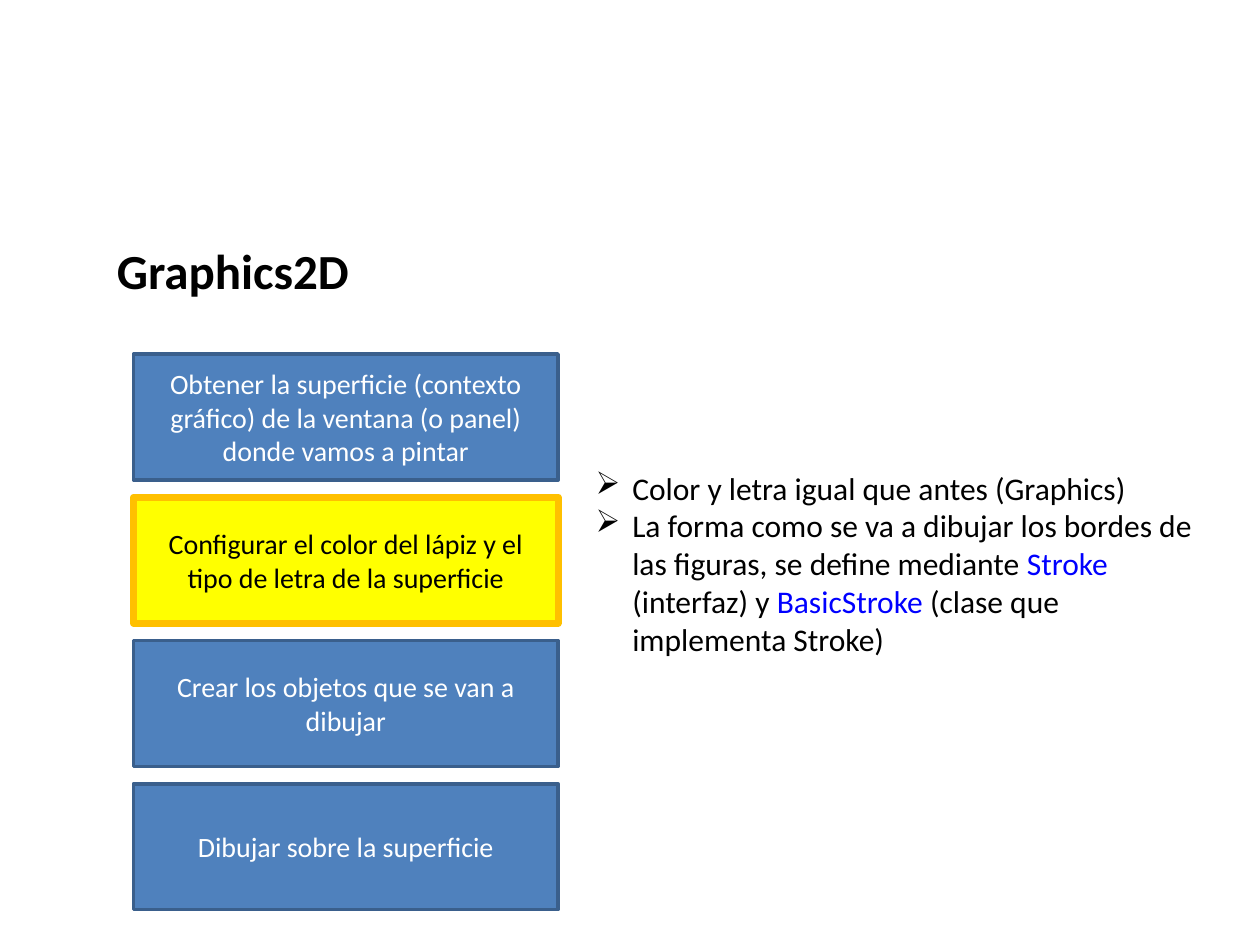
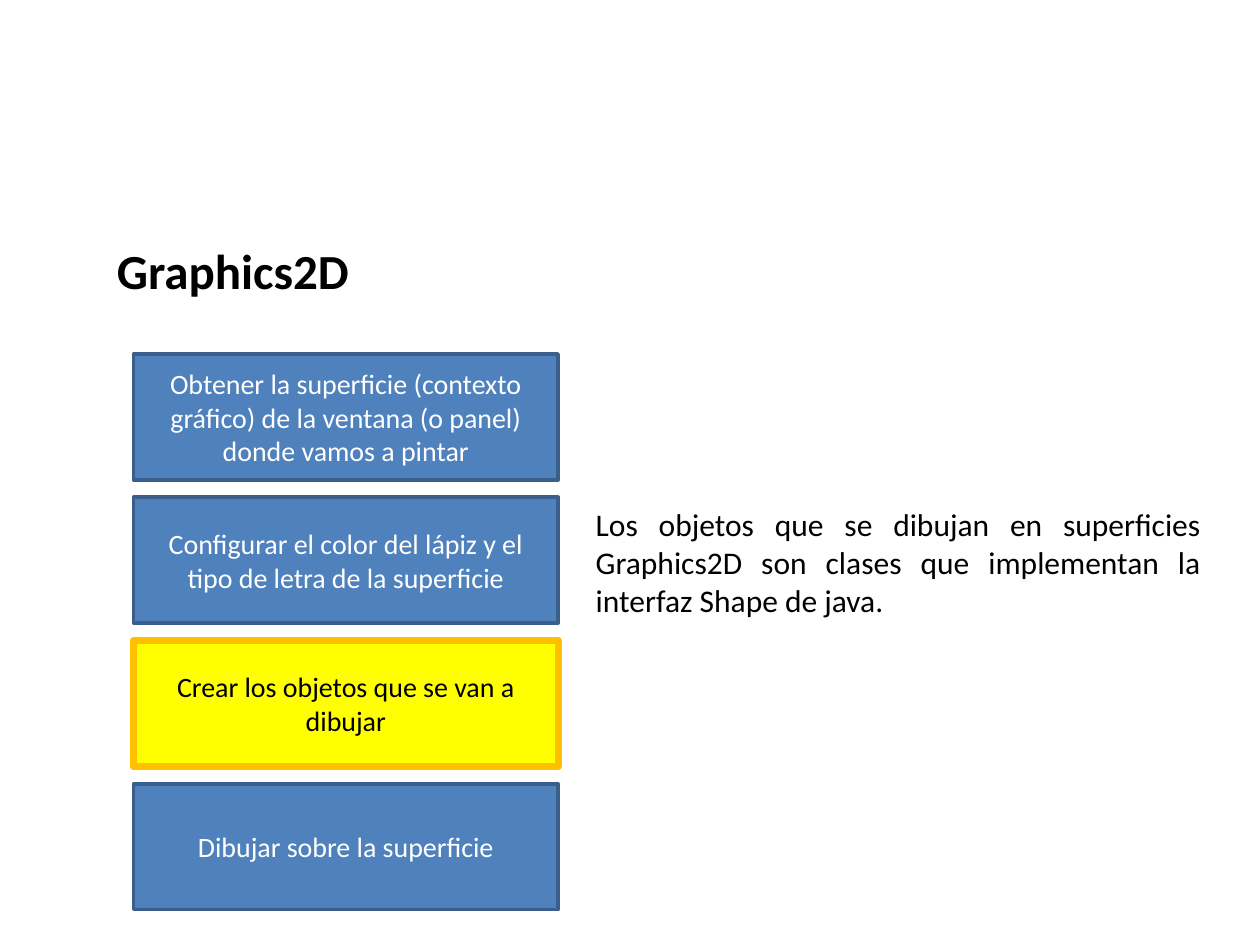
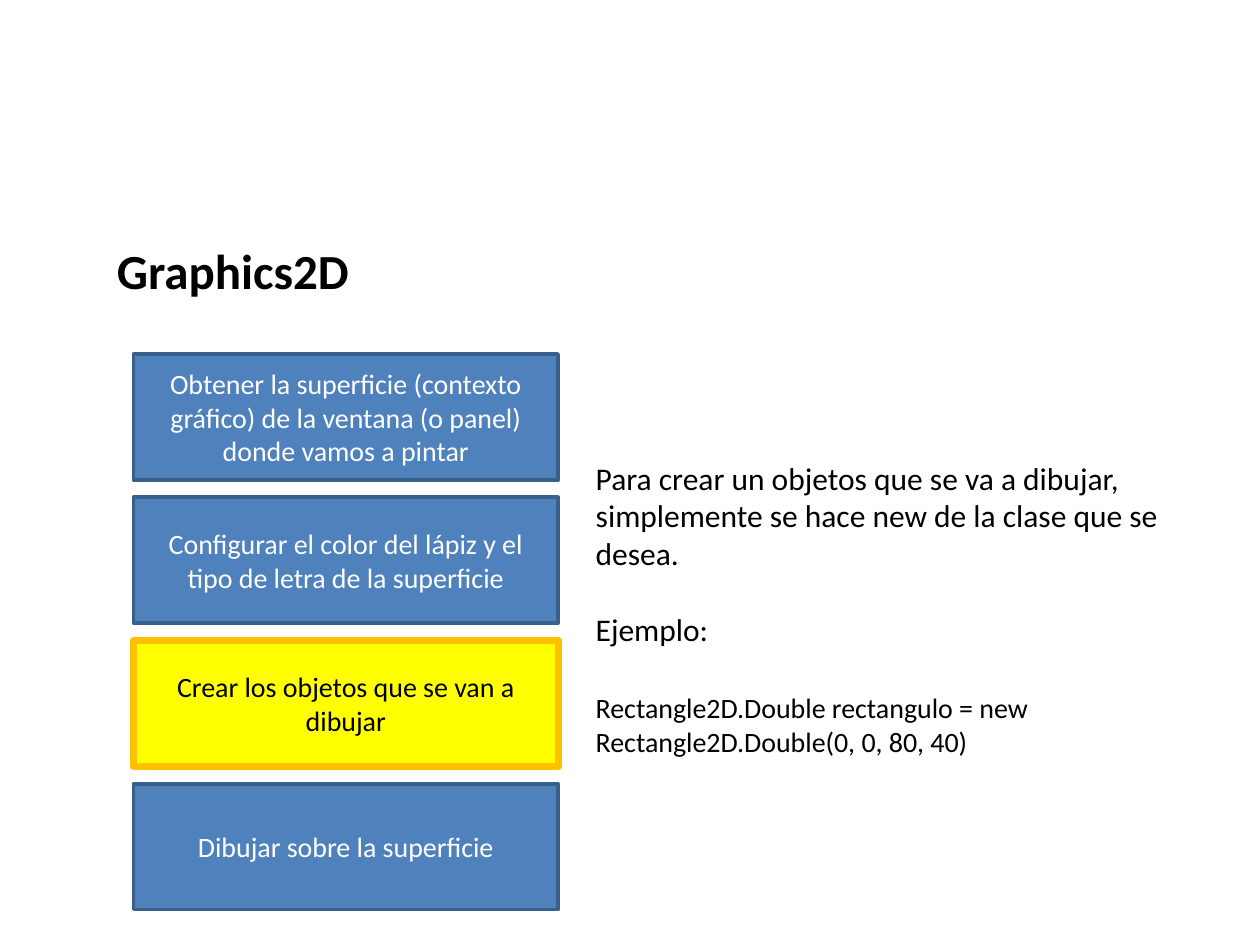
from lxml import etree
from pptx import Presentation
from pptx.dml.color import RGBColor
from pptx.enum.shapes import MSO_SHAPE
from pptx.enum.text import MSO_ANCHOR, MSO_AUTO_SIZE, PP_ALIGN
from pptx.oxml.ns import qn
from pptx.util import Inches, Pt

RECTANGLE = MSO_SHAPE.RECTANGLE
MIDDLE = MSO_ANCHOR.MIDDLE
GROW = MSO_AUTO_SIZE.SHAPE_TO_FIT_TEXT
LEFT, CENTER, JUSTIFY = PP_ALIGN.LEFT, PP_ALIGN.CENTER, PP_ALIGN.JUSTIFY

BLACK = RGBColor(0x00, 0x00, 0x00)
WHITE = RGBColor(0xFF, 0xFF, 0xFF)
BLUE = RGBColor(0x4F, 0x81, 0xBD)
DARK_BLUE = RGBColor(0x3A, 0x5F, 0x8C)
YELLOW = RGBColor(0xFF, 0xFF, 0x00)
ORANGE = RGBColor(0xFF, 0xC0, 0x00)
KEYWORD = RGBColor(0x00, 0x00, 0xFF)

FONT = "Calibri"
TITLE = "Graphics2D"
STEPS = [
    "Obtener la superficie (contexto gráfico) de la ventana (o panel) donde vamos a pintar",
    "Configurar el color del lápiz y el tipo de letra de la superficie",
    "Crear los objetos que se van a dibujar",
    "Dibujar sobre la superficie",
]
STEP_LEFT, STEP_TOP, STEP_WIDTH, STEP_HEIGHT = 1.06, 2.81, 3.37, 1
STEP_PITCH = 1.137
NORMAL_STEP = {"fill": BLUE, "line": DARK_BLUE, "width": 2, "color": WHITE}
ACTIVE_STEP = {"fill": YELLOW, "line": ORANGE, "width": 4, "color": BLACK}
NOTE_LEFT, NOTE_WIDTH = 4.63, 5
BULLET_INDENT = 0.29


class Deck:
    def __init__(self):
        self.prs = Presentation()
        self.prs.slide_width = Inches(10)
        self.prs.slide_height = Inches(7.5)
        self.s = None

    def add_slide(self, active_step):
        self.s = self.prs.slides.add_slide(self.prs.slide_layouts[6])
        self.text(0.83, 1.86, 6.3, 0.57, [{"runs": [(TITLE, BLACK)], "size": 28, "bold": True}])
        for i, step in enumerate(STEPS):
            self.step(i, step, ACTIVE_STEP if i == active_step else NORMAL_STEP)

    def paragraph(self, p, runs, size=18, bold=False, align=LEFT, before=0, bullet=None):
        p.alignment = align
        p.space_before = Pt(before)
        if bullet:
            self.bullet(p, bullet)
        for text, color in runs:
            r = p.add_run()
            r.text = text
            for name, value in {"name": FONT, "size": Pt(size), "bold": bold}.items():
                setattr(r.font, name, value)
            r.font.color.rgb = color

    def bullet(self, p, char):
        pPr = p._p.get_or_add_pPr()
        pPr.set("marL", str(Inches(BULLET_INDENT)))
        pPr.set("indent", str(-Inches(BULLET_INDENT)))
        etree.SubElement(pPr, qn("a:buChar")).set("char", char)

    def text(self, left, top, width, height, paragraphs):
        sp = self.s.shapes.add_textbox(Inches(left), Inches(top), Inches(width), Inches(height))
        tf = sp.text_frame
        tf.word_wrap = True
        tf.auto_size = GROW
        for i, fmt in enumerate(paragraphs):
            p = tf.add_paragraph() if i else tf.paragraphs[0]
            self.paragraph(p, **fmt)

    def step(self, index, text, look):
        top = STEP_TOP + index * STEP_PITCH
        sp = self.s.shapes.add_shape(RECTANGLE, Inches(STEP_LEFT), Inches(top),
                                     Inches(STEP_WIDTH), Inches(STEP_HEIGHT))
        sp.shadow.inherit = False
        sp.fill.solid()
        sp.fill.fore_color.rgb = look["fill"]
        sp.line.color.rgb = look["line"]
        sp.line.width = Pt(look["width"])
        tf = sp.text_frame
        tf.word_wrap = True
        tf.vertical_anchor = MIDDLE
        self.paragraph(tf.paragraphs[0], [(text, look["color"])], size=16, align=CENTER)

    def note(self, top, height, paragraphs):
        self.text(NOTE_LEFT, top, NOTE_WIDTH, height, paragraphs)


def main():
    deck = Deck()

    deck.add_slide(active_step=1)
    deck.note(3.67, 1.62, [
        {"runs": [("Color y letra igual que antes (Graphics)", BLACK)], "bullet": "➢"},
        {"runs": [
            ("La forma como se va a dibujar los bordes de las figuras, se define mediante ", BLACK),
            ("Stroke ", KEYWORD),
            ("(interfaz) y ", BLACK),
            ("BasicStroke ", KEYWORD),
            ("(clase que implementa Stroke)", BLACK),
        ], "bullet": "➢"},
    ])

    deck.add_slide(active_step=2)
    deck.note(3.96, 1.01, [
        {"runs": [("Los objetos que se dibujan en superficies Graphics2D son clases que "
                   "implementan la interfaz Shape de java.", BLACK)], "align": JUSTIFY},
    ])

    deck.add_slide(active_step=2)
    deck.note(3.59, 2.52, [
        {"runs": [("Para crear un objetos que se va a dibujar, simplemente se hace new "
                   "de la clase que se desea.", BLACK)]},
        {"runs": [("Ejemplo:", BLACK)], "before": 22},
        {"runs": [("Rectangle2D.Double rectangulo = new Rectangle2D.Double(0, 0, 80, 40)", BLACK)],
         "size": 16, "before": 24.4},
    ])

    deck.prs.save("out.pptx")


if __name__ == "__main__":
    main()
